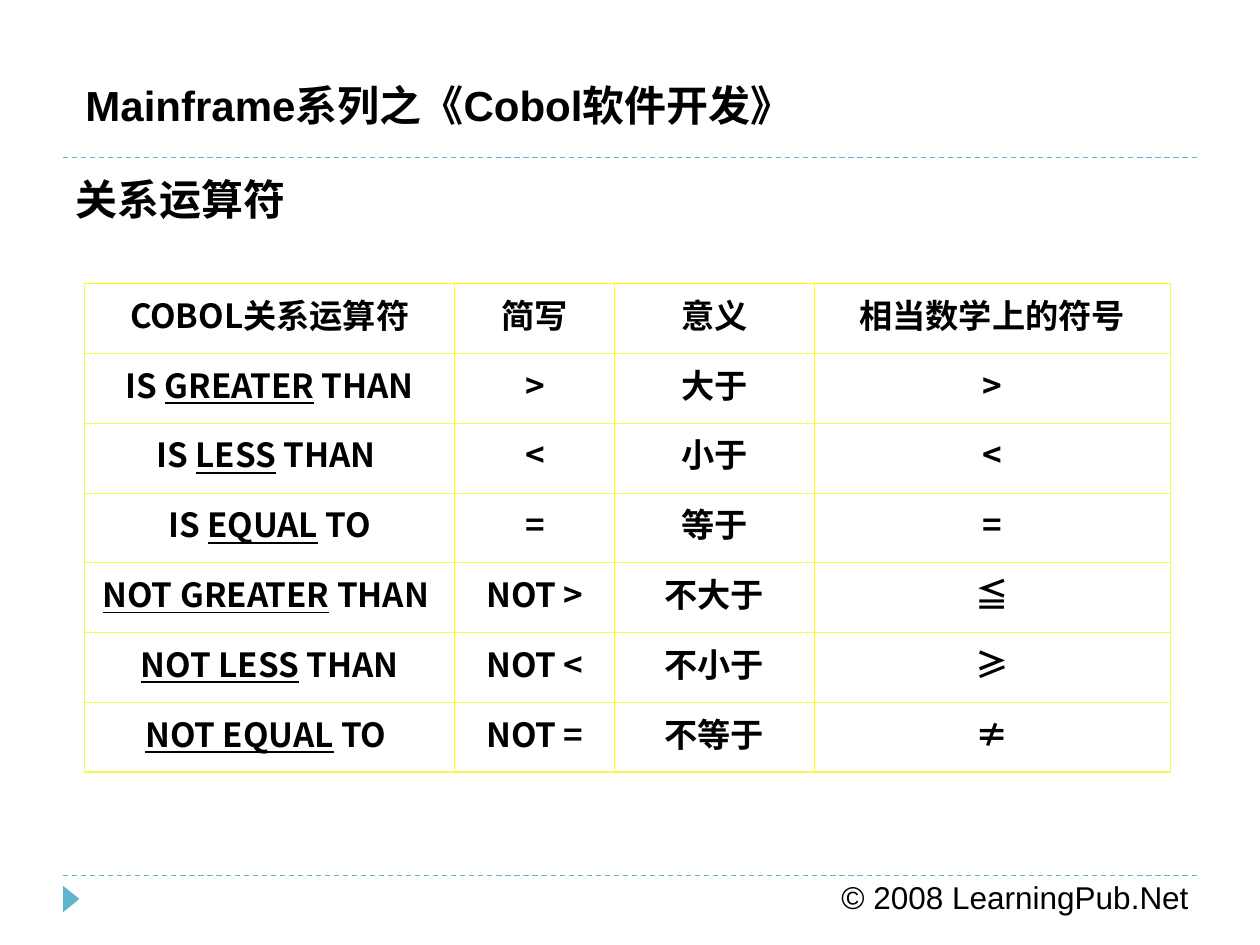
import pptx
import pptx.dml.color
import pptx.enum.dml
import pptx.enum.shapes
import pptx.enum.text
import pptx.oxml
import pptx.oxml.ns
import pptx.util

BLACK = pptx.dml.color.RGBColor(0x00, 0x00, 0x00)
TEAL = pptx.dml.color.RGBColor(0x60, 0xB5, 0xCC)
YELLOW = pptx.dml.color.RGBColor(0xFF, 0xFF, 0x00)
LEMON = pptx.dml.color.RGBColor(0xF3, 0xFB, 0x4D)
SANS = "Noto Sans CJK SC"
SERIF = "TeX Gyre Bonum"
COLUMNS, ROWS = 100, 75  # the page grid, in cells of a tenth of an inch
CELL = pptx.util.Inches(0.1)
THIN, THICK = 0.45, 1.08


def grid(*cells):
    return [round(CELL * count) for count in cells]


def write(frame, text, font="Arial", asian=SERIF, size=24, bold=True, align=None):
    """Fill a text frame; parts between underscores are underlined."""
    frame.word_wrap = True
    para = frame.paragraphs[0]
    para.alignment = align
    for index, part in enumerate(text.split("_")):
        if not part:
            continue
        span = para.add_run()
        span.text = part
        span.font.name = font
        span.font.size = pptx.util.Pt(size)
        span.font.bold = bold
        span.font.color.rgb = BLACK
        if index % 2:
            span.font.underline = True
        east = pptx.oxml.parse_xml(
            f'<a:ea {pptx.oxml.ns.nsdecls("a")} typeface="{asian}"/>')
        span.font._element.find(pptx.oxml.ns.qn("a:latin")).addnext(east)
    return para


deck = pptx.Presentation()
deck.slide_width, deck.slide_height = grid(COLUMNS, ROWS)
page = deck.slides.add_slide(deck.slide_layouts[6])

# Dashed rules above the footer and below the header
for row in (69.5, 12.5):
    rule = page.shapes.add_connector(
        pptx.enum.shapes.MSO_CONNECTOR.STRAIGHT, *grid(5, row, COLUMNS - 5, row))
    rule.line.color.rgb = TEAL
    rule.line.width = pptx.util.Pt(0.75)
    rule.line.dash_style = pptx.enum.dml.MSO_LINE.DASH
    rule._element.spPr.append(
        pptx.oxml.parse_xml(f'<a:effectLst {pptx.oxml.ns.nsdecls("a")}/>'))

# Footer marker
marker = page.shapes.add_shape(
    pptx.enum.shapes.MSO_SHAPE.ISOSCELES_TRIANGLE, *grid(4.6, 70.7, 2.1, 1.3))
marker.rotation = 90
marker.shadow.inherit = False
marker.fill.solid()
marker.fill.fore_color.rgb = TEAL
marker.line.fill.background()

# Footer, course header and page title
fit = pptx.enum.text.MSO_AUTO_SIZE.SHAPE_TO_FIT_TEXT
fixed = pptx.enum.text.MSO_AUTO_SIZE.NONE
for place, text, sizing, style in (
    ((65.8, 69.2, 30, 4), "© 2008 LearningPub.Net", fit, dict(size=18, bold=False)),
    ((5.8, 5.8, 60.8, 5), "Mainframe系列之《Cobol软件开发》", fit, {}),
    ((5, 13.3, 90, 12.5), "关系运算符", fixed, dict(font=SERIF)),
):
    box = page.shapes.add_textbox(*grid(*place))
    write(box.text_frame, text, **style)
    box.text_frame.auto_size = sizing

# Table of relational operators
operators = [
    ("COBOL关系运算符", "简写", "意义", "相当数学上的符号"),
    ("IS _GREATER_ THAN", ">", "大于", ">"),
    ("IS _LESS_ THAN ", "<", "小于", "<"),
    ("IS _EQUAL_ TO", "=", "等于", "="),
    ("_NOT GREATER_ THAN ", "NOT >", "不大于", "≦"),
    ("_NOT LESS_ THAN", "NOT <", "不小于", "≥"),
    ("_NOT EQUAL_ TO ", "NOT =", "不等于", "≠"),
]
widths = grid(29.4, 12.7, 15.8, 28.3)
last_row, last_column = len(operators) - 1, len(widths) - 1
table = page.shapes.add_table(
    len(operators), len(widths), *grid(6.7, 22.5, 86.2, 38.8)).table
table.first_row = table.horz_banding = False
for column, width in zip(table.columns, widths):
    column.width = width

for r, record in enumerate(operators):
    for c, text in enumerate(record):
        cell = table.cell(r, c)
        para = write(cell.text_frame, text, font=SANS, asian=SANS, size=19,
                     align=pptx.enum.text.PP_ALIGN.CENTER)
        hanging = pptx.util.Inches(0.3)
        para._p.get_or_add_pPr().set("marL", str(hanging))
        para._p.get_or_add_pPr().set("indent", str(-hanging))

        # Heavier frame on the left, right and bottom edges
        borders = {
            "lnL": (LEMON, THICK) if c == 0 else (YELLOW, THIN),
            "lnR": (LEMON, THICK) if c == last_column else (YELLOW, THIN),
            "lnT": (YELLOW if r == 0 else LEMON, THIN),
            "lnB": (LEMON, THICK if r == last_row else THIN),
        }
        for side, (color, weight) in borders.items():
            cell._tc.get_or_add_tcPr().append(pptx.oxml.parse_xml(
                f'<a:{side} {pptx.oxml.ns.nsdecls("a")} w="{pptx.util.Pt(weight)}">'
                f'<a:solidFill><a:srgbClr val="{color}"/></a:solidFill></a:{side}>'))
        cell.fill.background()

deck.save("out.pptx")
